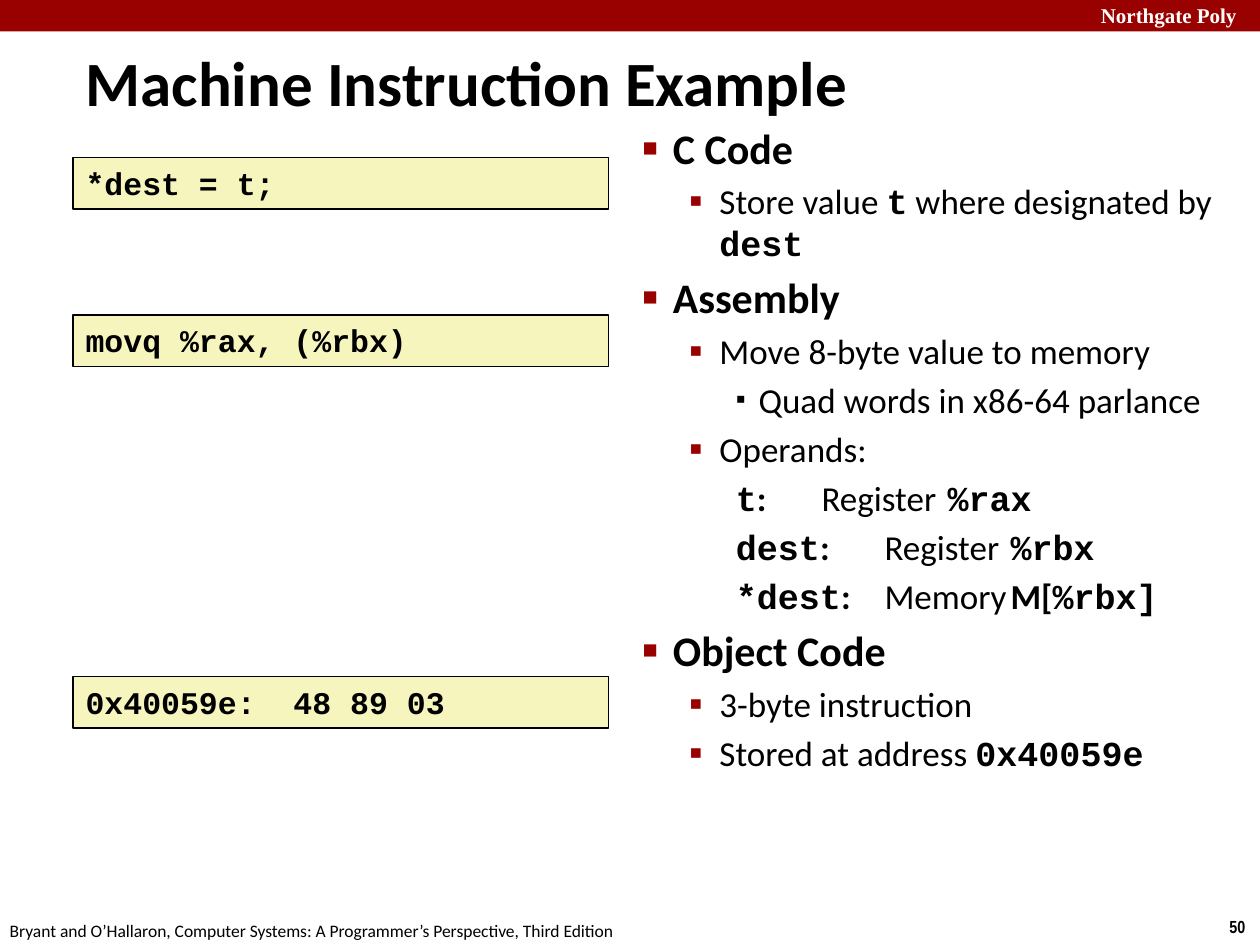
from dataclasses import dataclass

from lxml.etree import SubElement
from pptx import Presentation
from pptx.dml.color import RGBColor
from pptx.enum.shapes import MSO_SHAPE
from pptx.enum.text import MSO_ANCHOR, MSO_AUTO_SIZE, PP_ALIGN
from pptx.oxml.ns import qn
from pptx.util import Pt

COLORS = {"red": "990000", "cream": "F6F5BD", "black": "000000", "white": "FFFFFF"}
SANS, MONO = "Calibri", "Courier New"
TAB_STOPS = (126, 198)


@dataclass(frozen=True)
class Span:
    text: str
    bold: bool = False
    font: str = SANS


@dataclass(frozen=True)
class Level:
    """Indents in points; bullet size in percent."""
    size: int
    margin: float
    hanging: float
    bullet: str
    bullet_size: int
    bullet_color: str


@dataclass(frozen=True)
class Item:
    level: int
    spans: tuple[Span, ...]
    bulleted: bool = True


@dataclass(frozen=True)
class Label:
    text: str
    left: float
    top: float
    width: float
    height: float
    size: int
    font: str
    bold: bool = True
    color: str = "black"
    wrap: bool = False


@dataclass(frozen=True)
class CodeBox:
    text: str
    top: float


LEVELS = (
    Level(24, 17.28, 17.28, "■", 60, "red"),
    Level(20, 43.92, 17.28, "▪", 110, "red"),
    Level(20, 66.24, 12.96, "▪", 80, "black"),
)


def code(text: str) -> Span:
    return Span(text, True, MONO)


def heading(text: str) -> Item:
    return Item(0, (Span(text, True),))


def point(*spans: Span) -> Item:
    return Item(1, spans)


def operand(name: str, place: str, *value: Span) -> Item:
    spans = (code(name), Span(":", True), Span(f"\t{place}\t"), *value)
    return Item(2, spans, False)


ITEMS = (
    heading("C Code"),
    point(Span("Store value "), code("t"), Span(" where designated by "), code("dest")),
    heading("Assembly"),
    point(Span("Move 8-byte value to memory")),
    Item(2, (Span("Quad words in x86-64 parlance"),)),
    point(Span("Operands:")),
    operand("t", "Register", code("%rax")),
    operand("dest", "Register", code("%rbx")),
    operand("*dest", "Memory", Span("M[", True), code("%rbx]")),
    heading("Object Code"),
    point(Span("3-byte instruction")),
    point(Span("Stored at address "), code("0x40059e")),
)
LABELS = (
    Label("Northgate Poly", 622, -2, 103, 21.6, 12, "Times New Roman",
          color="white", wrap=True),
    Label("50", 695.5, 520, 24.5, 19.4, 10, "Arial Narrow"),
    Label("Bryant and O’Hallaron, Computer Systems: A Programmer’s Perspective, "
          "Third Edition", -1.5, 522, 366, 19.4, 10, SANS, bold=False),
)
CODE_BOXES = (
    CodeBox("*dest = t;", 90),
    CodeBox("movq %rax, (%rbx)", 180),
    CodeBox("0x40059e:  48 89 03", 386.6),
)


def color_of(name: str) -> RGBColor:
    return RGBColor.from_string(COLORS[name])


def set_font(font, name: str, size: float, bold: bool, color: str = "black") -> None:
    font.name, font.size, font.bold = name, Pt(size), bold
    font.color.rgb = color_of(color)


def place(shape, left: float, top: float, width: float, height: float) -> None:
    shape.left, shape.top = Pt(left), Pt(top)
    shape.width, shape.height = Pt(width), Pt(height)


def add_rectangle(page, left: float, top: float, width: float, height: float, fill: str):
    box = page.shapes.add_shape(MSO_SHAPE.RECTANGLE, Pt(left), Pt(top), Pt(width), Pt(height))
    box.shadow.inherit = False
    box.fill.solid()
    box.fill.fore_color.rgb = color_of(fill)
    return box


def add_label(page, label: Label) -> None:
    box = page.shapes.add_textbox(
        Pt(label.left), Pt(label.top), Pt(label.width), Pt(label.height))
    frame = box.text_frame
    frame.word_wrap = label.wrap
    frame.auto_size = MSO_AUTO_SIZE.SHAPE_TO_FIT_TEXT
    frame.text = label.text
    set_font(frame.paragraphs[0].font, label.font, label.size, label.bold, label.color)


def add_code_box(page, item: CodeBox) -> None:
    box = add_rectangle(page, 41.8, item.top, 306, 29.5, "cream")
    box.line.color.rgb = color_of("black")
    box.line.width = Pt(1)
    frame = box.text_frame
    frame.vertical_anchor = MSO_ANCHOR.TOP
    frame.text = item.text
    para = frame.paragraphs[0]
    para.alignment = PP_ALIGN.LEFT
    set_font(para.font, MONO, 18, True)


def set_indent(para, margin: float, hanging: float):
    properties = para._p.get_or_add_pPr()
    properties.set("marL", str(Pt(margin)))
    properties.set("indent", str(-Pt(hanging)))
    return properties


def format_item(para, level: Level, bulleted: bool) -> None:
    """Set indent, bullet and tab stops, in the order the schema asks for."""
    properties = set_indent(para, level.margin, level.hanging)
    if bulleted:
        color = SubElement(properties, qn("a:buClr"))
        SubElement(color, qn("a:srgbClr"), val=COLORS[level.bullet_color])
        SubElement(properties, qn("a:buSzPct"), val=str(level.bullet_size * 1000))
        SubElement(properties, qn("a:buFont"), typeface="Arial")
        SubElement(properties, qn("a:buChar"), char=level.bullet)
    else:
        SubElement(properties, qn("a:buNone"))
    tabs = SubElement(properties, qn("a:tabLst"))
    for stop in TAB_STOPS:
        SubElement(tabs, qn("a:tab"), pos=str(Pt(stop)), algn="l")


def fill_title(title) -> None:
    place(title, 41.8, 23.8, 571.7, 45.4)
    frame = title.text_frame
    frame.auto_size = MSO_AUTO_SIZE.NONE
    frame.vertical_anchor = MSO_ANCHOR.MIDDLE
    frame.text = "Machine Instruction Example"
    para = frame.paragraphs[0]
    para.alignment = PP_ALIGN.LEFT
    set_indent(para, 9.36, 9.36)
    set_font(para.font, SANS, 36, True)


def fill_body(body) -> None:
    place(body, 360, 66.2, 360, 455.8)
    frame = body.text_frame
    frame.auto_size = MSO_AUTO_SIZE.NONE
    for index, item in enumerate(ITEMS):
        para = frame.add_paragraph() if index else frame.paragraphs[0]
        para.level = item.level
        level = LEVELS[item.level]
        format_item(para, level, item.bulleted)
        for span in item.spans:
            run = para.add_run()
            run.text = span.text
            set_font(run.font, span.font, level.size, span.bold)


def main() -> None:
    deck = Presentation()
    deck.slide_width, deck.slide_height = Pt(720), Pt(540)
    page = deck.slides.add_slide(deck.slide_layouts[1])
    banner = add_rectangle(page, 0, 0, 720, 18, "red")
    banner.line.fill.background()
    for label in LABELS:
        add_label(page, label)
    fill_title(page.shapes.title)
    fill_body(page.placeholders[1])
    for item in CODE_BOXES:
        add_code_box(page, item)
    deck.save("out.pptx")


if __name__ == "__main__":
    main()
